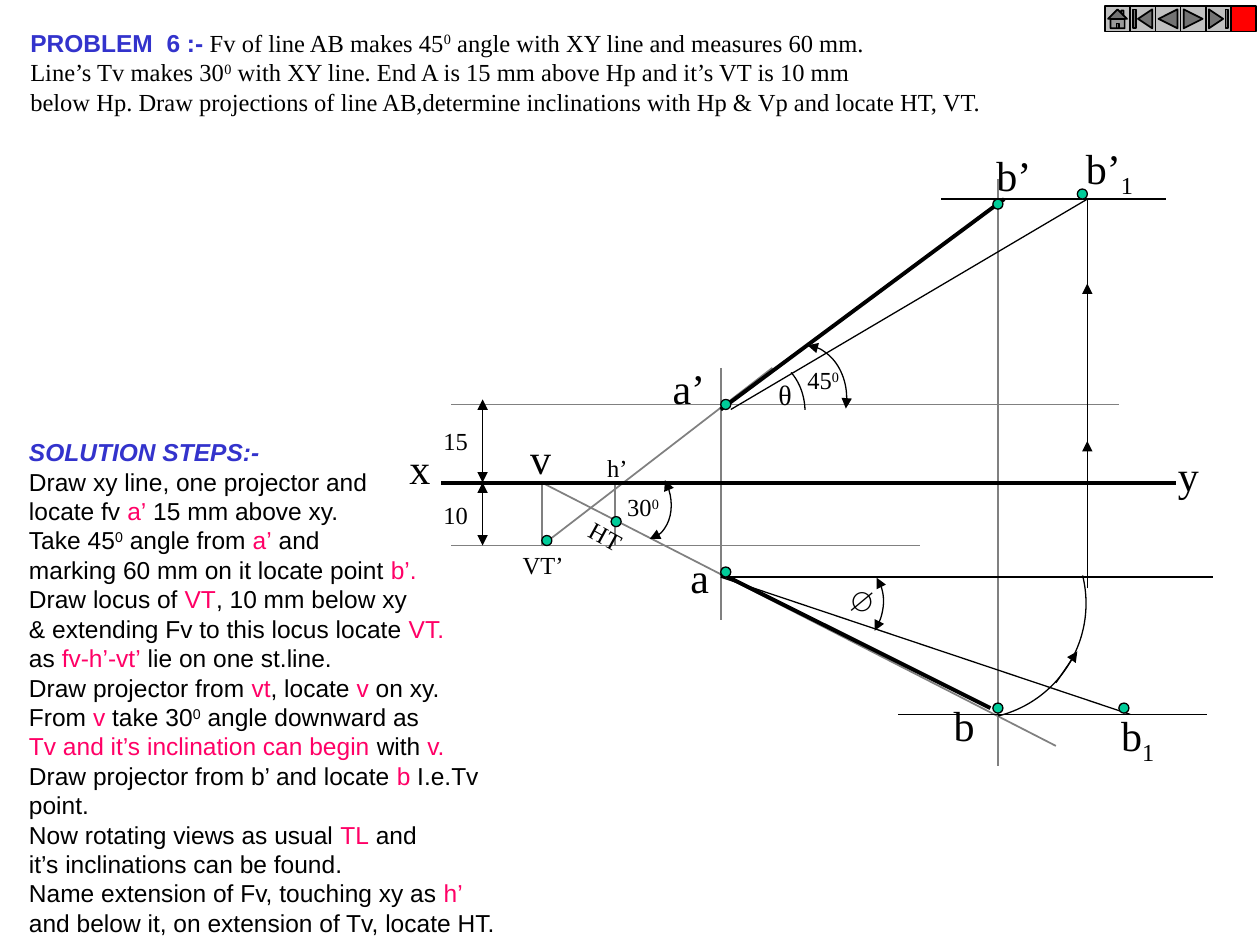
"""Builds the slide for problem 6: projections of line AB with its HT and VT."""
from lxml import etree
from pptx import Presentation
from pptx.dml.color import RGBColor
from pptx.enum.shapes import MSO_CONNECTOR, MSO_SHAPE
from pptx.enum.text import MSO_ANCHOR, MSO_AUTO_SIZE, PP_ALIGN
from pptx.oxml.ns import qn
from pptx.util import Inches, Pt

LINE = MSO_CONNECTOR.STRAIGHT
OVAL, ARC = MSO_SHAPE.OVAL, MSO_SHAPE.ARC
TOP, LEFT = MSO_ANCHOR.TOP, PP_ALIGN.LEFT
FIXED, GROW = MSO_AUTO_SIZE.NONE, MSO_AUTO_SIZE.SHAPE_TO_FIT_TEXT
HOME = MSO_SHAPE.ACTION_BUTTON_HOME
FIRST = MSO_SHAPE.ACTION_BUTTON_BEGINNING
BACK = MSO_SHAPE.ACTION_BUTTON_BACK_OR_PREVIOUS
NEXT = MSO_SHAPE.ACTION_BUTTON_FORWARD_OR_NEXT
LAST = MSO_SHAPE.ACTION_BUTTON_END
BLANK = MSO_SHAPE.ACTION_BUTTON_CUSTOM
SERIF, SANS = "Times New Roman", "Arial"
COLORS = {"black": "000000", "gray": "808080", "green": "00CC99", "blue": "3333CC",
          "pink": "FF0066", "silver": "C0C0C0", "red": "FF0000"}
HEX = {name: RGBColor.from_string(code) for name, code in COLORS.items()}


def write(par, runs, face, size):
    """Add runs, each a plain string or a (text, style) pair."""
    par.alignment = LEFT
    par.space_before = Pt(0)
    for item in runs:
        text, style = (item, "") if isinstance(item, str) else item
        run = par.add_run()
        run.text = text
        font = run.font
        font.size = Pt(size)
        font.name = SANS if "head" in style else face
        font.bold = "head" in style
        font.italic = "slant" in style
        color = "blue" if "head" in style else "pink" if style == "pink" else "black"
        font.color.rgb = HEX[color]
        if style in ("sup", "sub"):
            run._r.get_or_add_rPr().set("baseline", "30000" if style == "sup" else "-25000")


def stroke(shape, color, width, ends=""):
    """Set the line of a shape and the arrowheads named in ends."""
    shape.line.color.rgb = HEX[color]
    shape.line.width = Pt(width)
    for end in ends.split():
        etree.SubElement(shape.line._get_or_add_ln(), qn(f"a:{end}End"), type="triangle")


deck = Presentation()
deck.slide_width, deck.slide_height = Inches(10), Inches(7.5)
slide = deck.slides.add_slide(deck.slide_layouts[1])
shapes = slide.shapes

problem = [
    [("PROBLEM  6 :-", "head"), " Fv of line AB makes 45", ("0", "sup"),
     " angle with XY line and measures 60 mm."],
    ["Line’s Tv makes 30", ("0", "sup"),
     " with XY line. End A is 15 mm above Hp and it’s VT is 10 mm"],
    ["below Hp. Draw projections of line AB,determine inclinations with Hp & Vp "
     "and locate HT, VT."],
]
steps = [
    [("SOLUTION STEPS:-", "head slant")],
    ["Draw xy line, one projector and"],
    ["locate fv ", ("a’", "pink"), " 15 mm above xy."],
    ["Take 45", ("0", "sup"), " angle from ", ("a’", "pink"), " and"],
    ["marking 60 mm on it locate point ", ("b’.", "pink")],
    ["Draw locus of ", ("VT", "pink"), ", 10 mm below xy"],
    ["& extending Fv to this locus locate ", ("VT.", "pink")],
    ["as ", ("fv-h’-vt’", "pink"), " lie on one st.line."],
    ["Draw projector from ", ("vt", "pink"), ", locate", (" v", "pink"), " on xy."],
    ["From ", ("v ", "pink"), "take 30", ("0", "sup"), " angle downward as"],
    [("Tv and it’s inclination can begin", "pink"), " with ", ("v.", "pink")],
    ["Draw projector from b’ and locate ", ("b ", "pink"), "I.e.Tv point."],
    ["Now rotating views as usual ", ("TL", "pink"), " and"],
    ["it’s inclinations can be found."],
    ["Name extension of Fv, touching xy as ", ("h’", "pink")],
    ["and below it, on extension of Tv, locate HT."],
]
blocks = [(shapes.title, problem, SERIF, 0, (0.14, 0.17, 7.83, 0.8)),
          (slide.placeholders[1], steps, SANS, 0.2, (0.13, 3.42, 4.28, 4.06))]
for box, rows, face, inset, place in blocks:
    box.left, box.top, box.width, box.height = map(Inches, place)
    frame = box.text_frame
    frame.word_wrap, frame.auto_size, frame.vertical_anchor = True, FIXED, TOP
    frame.margin_right = Inches(inset)
    for i, row in enumerate(rows):
        par = frame.add_paragraph() if i else frame.paragraphs[0]
        props = par._p.get_or_add_pPr()
        props.set("marL", "0")
        props.set("indent", "0")
        etree.SubElement(props, qn("a:buNone"))
        write(par, row, face, 14)

grays = [(5.72, 2.92, 5.72, 4.92), (3.58, 3.21, 8.88, 3.21), (3.58, 4.33, 7.3, 4.33),
         (6.13, 2.92, 4.3, 4.33), (4.3, 4.33, 4.3, 3.83), (4.3, 3.83, 8.38, 5.92),
         (7.92, 1.42, 7.92, 6.08), (4.88, 4.33, 4.88, 3.83)]
bolds = [(3.5, 3.83, 9.33, 3.83), (5.72, 3.25, 7.97, 1.58), (5.72, 4.55, 7.86, 5.62)]
thins = [(7.13, 5.67, 9.58, 5.67), (7.47, 1.58, 9.25, 1.58), (5.72, 4.58, 9.63, 4.58),
         (8.63, 4.67, 8.63, 1.58), (8.63, 1.58, 5.8, 3.25), (8.97, 5.67, 5.72, 4.58)]
arrows = [(8.38, 5.42, 8.55, 5.17), (8.63, 4.33, 8.63, 3.5), (8.63, 2.75, 8.63, 2.25)]
spans = [(3.83, 3.17, 3.83, 3.83), (3.83, 3.83, 3.83, 4.33)]
for group, color, width, ends in [(grays, "gray", 1, ""), (bolds, "black", 2.25, ""),
                                  (thins, "black", 0.75, ""),
                                  (arrows, "black", 0.75, "tail"),
                                  (spans, "black", 0.75, "head tail")]:
    for points in group:
        line = shapes.add_connector(LINE, *map(Inches, points))
        stroke(line, color, width, ends)
        etree.SubElement(line._element.spPr, qn("a:effectLst"))

for x, y in [(5.72, 3.17), (7.88, 1.58), (5.72, 4.5), (7.88, 5.58),
             (8.55, 1.5), (8.88, 5.58), (4.3, 4.25), (4.85, 4.1)]:
    dot = shapes.add_shape(OVAL, Inches(x), Inches(y), Inches(0.08), Inches(0.08))
    dot.shadow.inherit = False
    dot.fill.solid()
    dot.fill.fore_color.rgb = HEX["green"]
    stroke(dot, "black", 0.75)

for x, y, rx, ry, start, stop, turn, ends in [
        (7.7, 4.79, 0.92, 0.92, -14, 76, 0, ""),
        (6.38, 3.16, 0.34, 0.42, -86, 14, 0, "head tail"),
        (6.06, 3.27, 0.33, 0.42, -55, -3, 0, ""),
        (6.65, 4.85, 0.33, 0.41, -79, -10, 38.2, "head tail"),
        (5.07, 3.96, 0.25, 0.33, -18, 92, -17.4, "head tail")]:
    arc = shapes.add_shape(ARC, Inches(x - rx), Inches(y - ry), Inches(2 * rx), Inches(2 * ry))
    arc.adjustments[0] = start % 360 * 0.6
    arc.adjustments[1] = stop % 360 * 0.6
    arc.rotation = turn
    arc.shadow.inherit = False
    arc.fill.background()
    stroke(arc, "black", 0.75, ends)

for runs, size, x, y, wide, high, turn in [
        (["x"], 24, 3.15, 3.46, 0.37, 0.5, 0),
        (["y"], 24, 9.25, 3.52, 0.37, 0.5, 0),
        (["b’"], 24, 7.81, 1.14, 0.48, 0.5, 0),
        (["b’", ("1", "sub")], 24, 8.52, 1.08, 0.59, 0.5, 0),
        (["a"], 24, 5.38, 4.33, 0.35, 0.5, 0),
        (["v"], 24, 4.11, 3.38, 0.37, 0.5, 0),
        (["VT’"], 14, 4.05, 4.32, 0.58, 0.33, 0),
        (["a’"], 24, 5.24, 2.83, 0.46, 0.5, 0),
        (["HT"], 14, 4.58, 4.09, 0.46, 0.33, 28.8),
        (["b"], 24, 7.47, 5.5, 0.37, 0.5, 0),
        (["h’"], 14, 4.72, 3.55, 0.36, 0.33, 0),
        (["b", ("1", "sub")], 24, 8.8, 5.58, 0.48, 0.5, 0),
        (["∅"], 16, 6.63, 4.58, 0.38, 0.77, 0),
        (["30", ("0", "sup")], 14, 4.88, 3.86, 0.46, 0.33, 0),
        (["θ"], 16, 6.08, 2.95, 0.32, 0.37, 0),
        (["45", ("0", "sup")], 14, 6.31, 2.85, 0.46, 0.33, 0),
        (["15"], 14, 3.42, 3.33, 0.4, 0.33, 0),
        (["10"], 14, 3.42, 3.92, 0.4, 0.33, 0)]:
    label = shapes.add_textbox(Inches(x), Inches(y), Inches(wide), Inches(high))
    label.rotation = turn
    label.text_frame.word_wrap = False
    label.text_frame.auto_size = GROW
    write(label.text_frame.paragraphs[0], runs, SERIF, size)

bar = shapes.add_group_shape()
for i, kind in enumerate([HOME, FIRST, BACK, NEXT, LAST, BLANK]):
    key = bar.shapes.add_shape(kind, Inches(8.77 + 0.2 * i), Inches(0.05),
                               Inches(0.2), Inches(0.2))
    key.shadow.inherit = False
    key.fill.solid()
    key.fill.fore_color.rgb = HEX["red" if kind == BLANK else "silver"]
    stroke(key, "black", 1)

deck.save("out.pptx")
